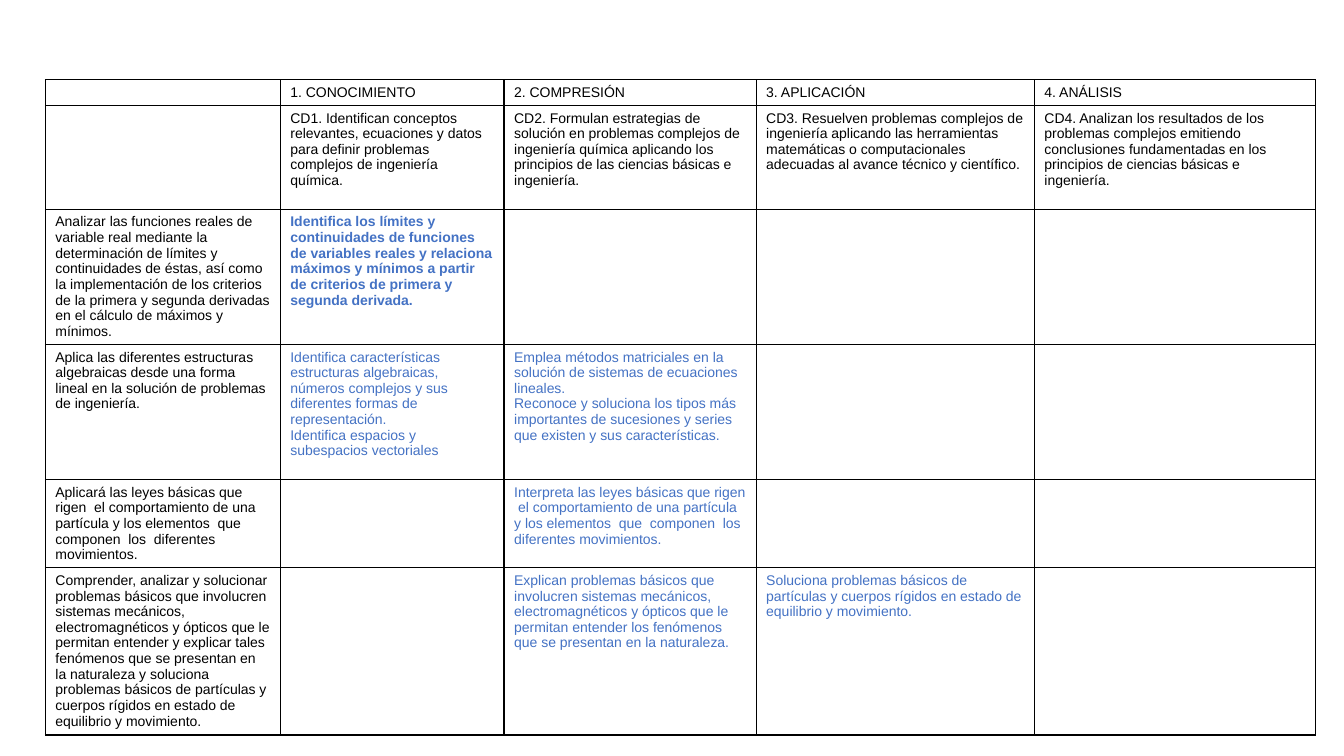
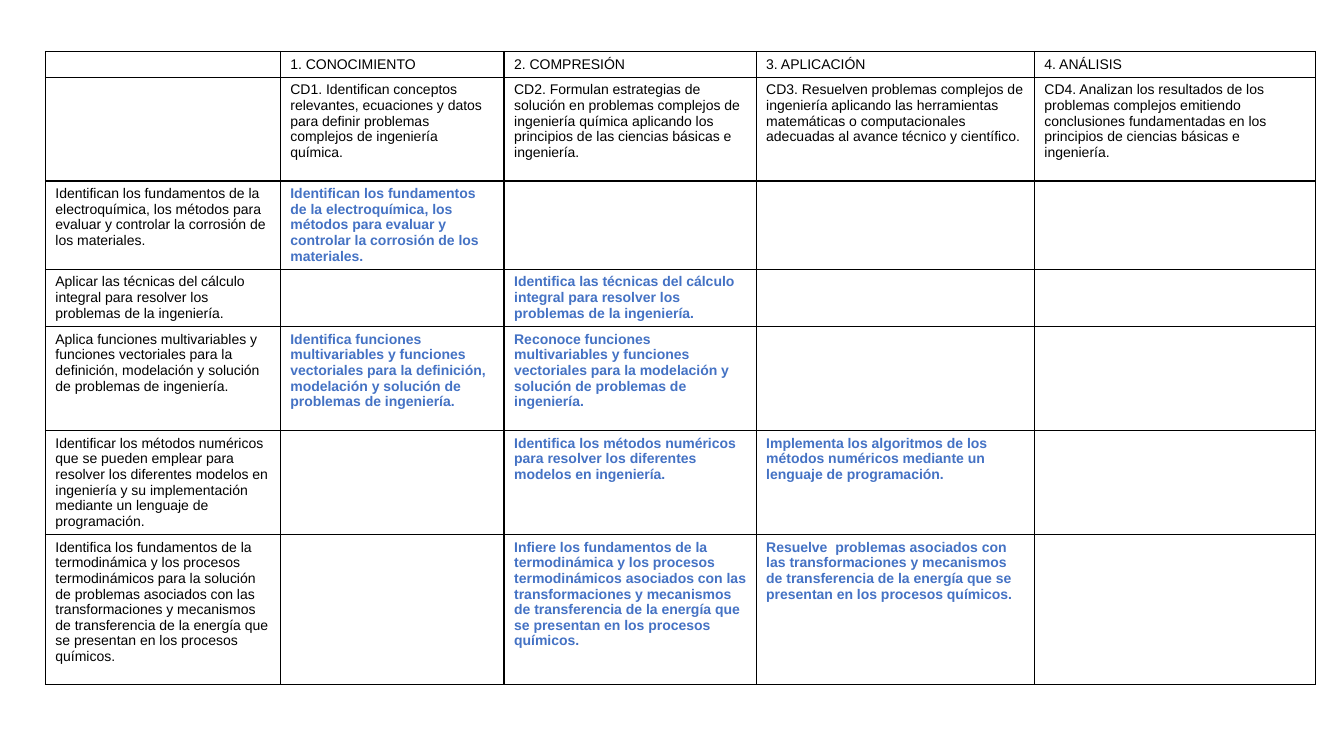
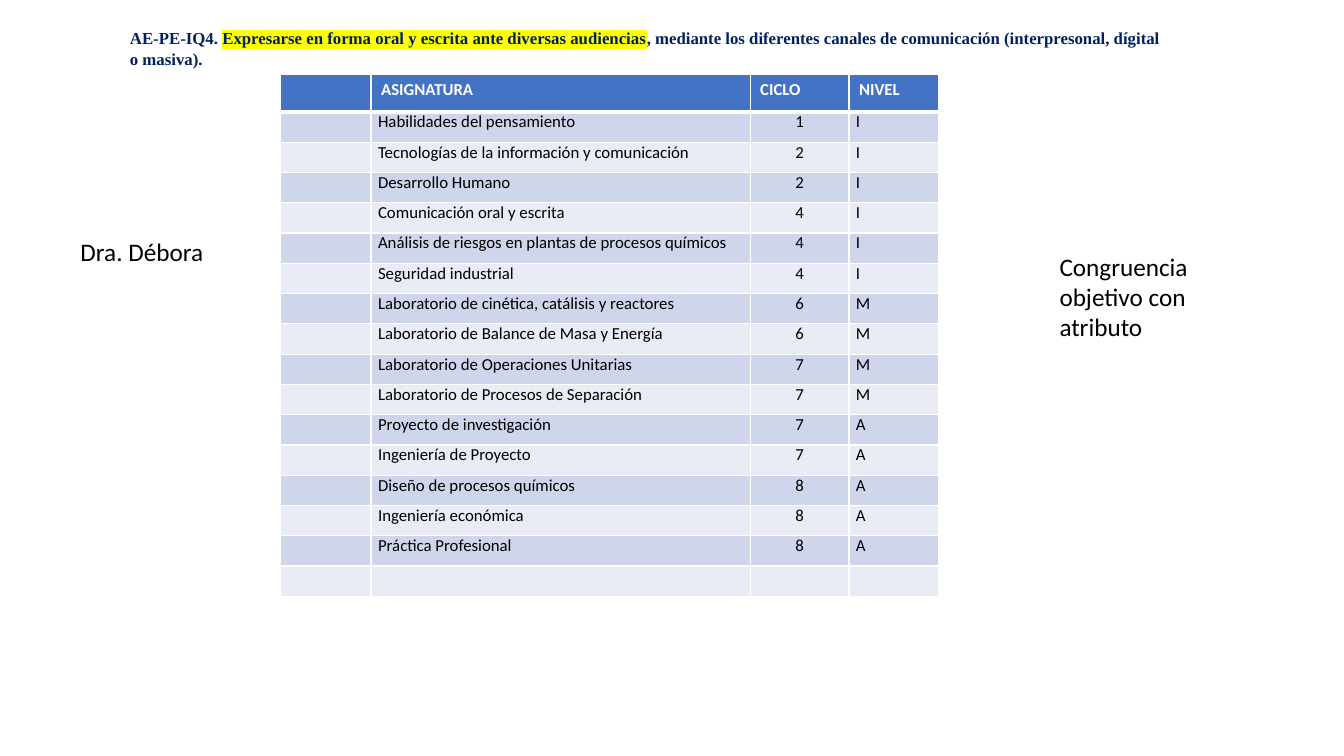
import pptx
import pptx.util
import pptx.dml.color
import pptx.enum.text
import pptx.oxml.ns
import lxml.etree

PX = 9144
HUES = {
    "ink": "000000", "paper": "FFFFFF", "blue": "4472C4", "navy": "002060",
    "odd": "CFD5EA", "even": "E9EBF5", "mark": "FFFF00",
}
ALIGN = pptx.enum.text.PP_ALIGN
COLS = [233, 222, 250, 276, 279]
HEAD = [
    ["", "1. CONOCIMIENTO", "2. COMPRESIÓN", "3. APLICACIÓN", "4. ANÁLISIS"],
    ["",
     "CD1. Identifican conceptos relevantes, ecuaciones y datos para definir problemas complejos de ingeniería química.",
     "CD2. Formulan estrategias de solución en problemas complejos de ingeniería química aplicando los principios de las ciencias básicas e ingeniería.",
     "CD3. Resuelven problemas complejos de ingeniería aplicando las herramientas matemáticas o computacionales adecuadas al avance técnico y científico.",
     "CD4. Analizan los resultados de los problemas complejos emitiendo conclusiones fundamentadas en los principios de ciencias básicas e ingeniería."],
]
BASIC = [
    ["Analizar las funciones reales de variable real mediante la determinación de límites y continuidades de éstas, así como la implementación de los criterios de la primera y segunda derivadas en el cálculo de máximos y mínimos.",
     "Identifica los límites y continuidades de funciones de variables reales y relaciona máximos y mínimos a partir de criterios de primera y segunda derivada.",
     "", "", ""],
    ["Aplica las diferentes estructuras algebraicas desde una forma lineal en la solución de problemas de ingeniería.",
     "Identifica características estructuras algebraicas, números complejos y sus diferentes formas de representación.\nIdentifica espacios y subespacios vectoriales",
     "Emplea métodos matriciales en la solución de sistemas de ecuaciones lineales.\nReconoce y soluciona los tipos más importantes de sucesiones y series que existen y sus características.",
     "", ""],
    ["Aplicará las leyes básicas que rigen  el comportamiento de una partícula y los elementos  que  componen  los  diferentes movimientos.",
     "",
     "Interpreta las leyes básicas que rigen  el comportamiento de una partícula y los elementos  que  componen  los  diferentes movimientos.",
     "", ""],
    ["Comprender, analizar y solucionar problemas básicos que involucren sistemas mecánicos, electromagnéticos y ópticos que le permitan entender y explicar tales fenómenos que se presentan en la naturaleza y soluciona problemas básicos de partículas y cuerpos rígidos en estado de equilibrio y movimiento.",
     "",
     "Explican problemas básicos que involucren sistemas mecánicos, electromagnéticos y ópticos que le permitan entender los fenómenos que se presentan en la naturaleza.",
     "Soluciona problemas básicos de partículas y cuerpos rígidos en estado de equilibrio y movimiento.",
     ""],
]
MODELS = [
    ["Identifican los fundamentos de la electroquímica, los métodos para evaluar y controlar la corrosión de los materiales.",
     "Identifican los fundamentos de la electroquímica, los métodos para evaluar y controlar la corrosión de los materiales.",
     "", "", ""],
    ["Aplicar las técnicas del cálculo integral para resolver los problemas de la ingeniería.",
     "",
     "Identifica las técnicas del cálculo integral para resolver los problemas de la ingeniería.",
     "", ""],
    ["Aplica funciones multivariables y funciones vectoriales para la definición, modelación y solución de problemas de ingeniería.",
     "Identifica funciones multivariables y funciones vectoriales para la definición, modelación y solución de problemas de ingeniería.",
     "Reconoce funciones multivariables y funciones vectoriales para la modelación y solución de problemas de ingeniería.",
     "", ""],
    ["Identificar los métodos numéricos que se pueden emplear para resolver los diferentes modelos en ingeniería y su implementación mediante un lenguaje de programación.",
     "",
     "Identifica los métodos numéricos para resolver los diferentes modelos en ingeniería.",
     "Implementa los algoritmos de los métodos numéricos mediante un lenguaje de programación.",
     ""],
    ["Identifica los fundamentos de la termodinámica y los procesos termodinámicos para la solución de problemas asociados con las transformaciones y mecanismos de transferencia de la energía que se presentan en los procesos químicos.",
     "",
     "Infiere los fundamentos de la termodinámica y los procesos termodinámicos asociados con las transformaciones y mecanismos de transferencia de la energía que se presentan en los procesos químicos.",
     "Resuelve  problemas asociados con las transformaciones y mecanismos de transferencia de la energía que se presentan en los procesos químicos.",
     ""],
]
COURSES = [
    ["", "ASIGNATURA", "CICLO", "NIVEL"],
    ["", "Habilidades del pensamiento", "1", "I"],
    ["", "Tecnologías de la información y comunicación", "2", "I"],
    ["", "Desarrollo Humano", "2", "I"],
    ["", "Comunicación oral y escrita", "4", "I"],
    ["", "Análisis de riesgos en plantas de procesos químicos", "4", "I"],
    ["", "Seguridad industrial", "4", "I"],
    ["", "Laboratorio de cinética, catálisis y reactores", "6", "M"],
    ["", "Laboratorio de Balance de Masa y Energía", "6", "M"],
    ["", "Laboratorio de Operaciones Unitarias", "7", "M"],
    ["", "Laboratorio de Procesos de Separación", "7", "M"],
    ["", "Proyecto de investigación", "7", "A"],
    ["", "Ingeniería de Proyecto", "7", "A"],
    ["", "Diseño de procesos químicos", "8", "A"],
    ["", "Ingeniería económica", "8", "A"],
    ["", "Práctica Profesional", "8", "A"],
    ["", "", "", ""],
]


def px(size):
    return pptx.util.Emu(size * PX)


def rgb(hue):
    return pptx.dml.color.RGBColor.from_string(HUES[hue])


def tag(root, name, **attrs):
    return lxml.etree.SubElement(root, pptx.oxml.ns.qn("a:" + name), **attrs)


def style(para, face, size, hue="ink", bold=False, align=ALIGN.LEFT):
    font = para.font
    font.name = face
    font.size = pptx.util.Pt(size)
    font.bold = bold
    font.color.rgb = rgb(hue)
    para.alignment = align
    if not para.runs:
        tag(para._p, "endParaRPr", sz=str(size * 100))


def edge(cell, hue, base=1):
    props = cell._tc.get_or_add_tcPr()
    for side in "LRTB":
        width = base if side == "B" else 1
        line = tag(props, "ln" + side, w=str(width * 12700))
        tag(tag(line, "solidFill"), "srgbClr", val=HUES[hue])


def table(slide, left, top, cols, rows, data, paint):
    frame = slide.shapes.add_table(
        len(rows), len(cols), px(left), px(top), px(sum(cols)), px(sum(rows)))
    grid = frame.table
    grid.first_row = grid.horz_banding = False
    for col, width in zip(grid.columns, cols):
        col.width = px(width)
    for row, height in zip(grid.rows, rows):
        row.height = px(height)
    for r, line in enumerate(data):
        for c, text in enumerate(line):
            cell = grid.cell(r, c)
            cell.text = text
            paint(cell, r, c)


def matrix(slide, top, rows, body, strong):
    def paint(cell, r, c):
        goal = r > 1 and c > 0
        for para in cell.text_frame.paragraphs:
            style(para, "Arial", 10, "blue" if goal else "ink", goal and r in strong)
        edge(cell, "ink")
        cell.fill.background()

    table(slide, 45, top, COLS, rows, HEAD + body, paint)


def course(cell, r, c):
    para = cell.text_frame.paragraphs[0]
    if r == 0:
        style(para, "Calibri", 12, "paper", True)
        hue = "blue"
    else:
        style(para, "Calibri", 12, align=ALIGN.CENTER if c == 2 else ALIGN.LEFT)
        hue = "odd" if r % 2 else "even"
        if cell.text:
            cell.margin_left = cell.margin_right = px(7)
            cell.margin_top = cell.margin_bottom = 0
    edge(cell, "paper", 1 if r else 3)
    cell.fill.solid()
    cell.fill.fore_color.rgb = rgb(hue)


def label(slide, box, parts, face, size, hue="ink", bold=False, wrap=True):
    frame = slide.shapes.add_textbox(*map(px, box)).text_frame
    frame.word_wrap = wrap
    frame.auto_size = pptx.enum.text.MSO_AUTO_SIZE.SHAPE_TO_FIT_TEXT
    para = frame.paragraphs[0]
    for text, mark in parts:
        run = para.add_run()
        run.text = text
        if mark:
            light = tag(run._r.get_or_add_rPr(), "highlight")
            tag(light, "srgbClr", val=HUES[mark])
    style(para, face, size, hue, bold)


def main():
    deck = pptx.Presentation()
    deck.slide_width, deck.slide_height = px(1333), px(750)
    first, second, third = [
        deck.slides.add_slide(deck.slide_layouts[6]) for _ in range(3)]

    matrix(first, 79, [25, 103, 134, 134, 87, 166], BASIC, {2})
    matrix(second, 51, [25, 103, 87, 57, 103, 103, 149], MODELS, range(2, 7))

    label(third, (119, 23, 1048, 50), [
        ("AE-PE-IQ4. ", None),
        ("Expresarse en forma oral y escrita ante diversas audiencias", "mark"),
        (", mediante los diferentes canales de comunicación (interpresonal, dígital o masiva).", None),
    ], "Times New Roman", 12, "navy", True)
    table(third, 278, 74, [90, 376, 98, 89], [37] + [30] * 16, COURSES, course)
    label(third, (70, 230, 143, 40), [("Dra. Débora", None)],
          "Calibri", 18, wrap=False)
    label(third, (1041, 244, 222, 101),
          [("Congruencia objetivo con atributo", None)], "Calibri", 18)
    deck.save("out.pptx")


if __name__ == "__main__":
    main()
